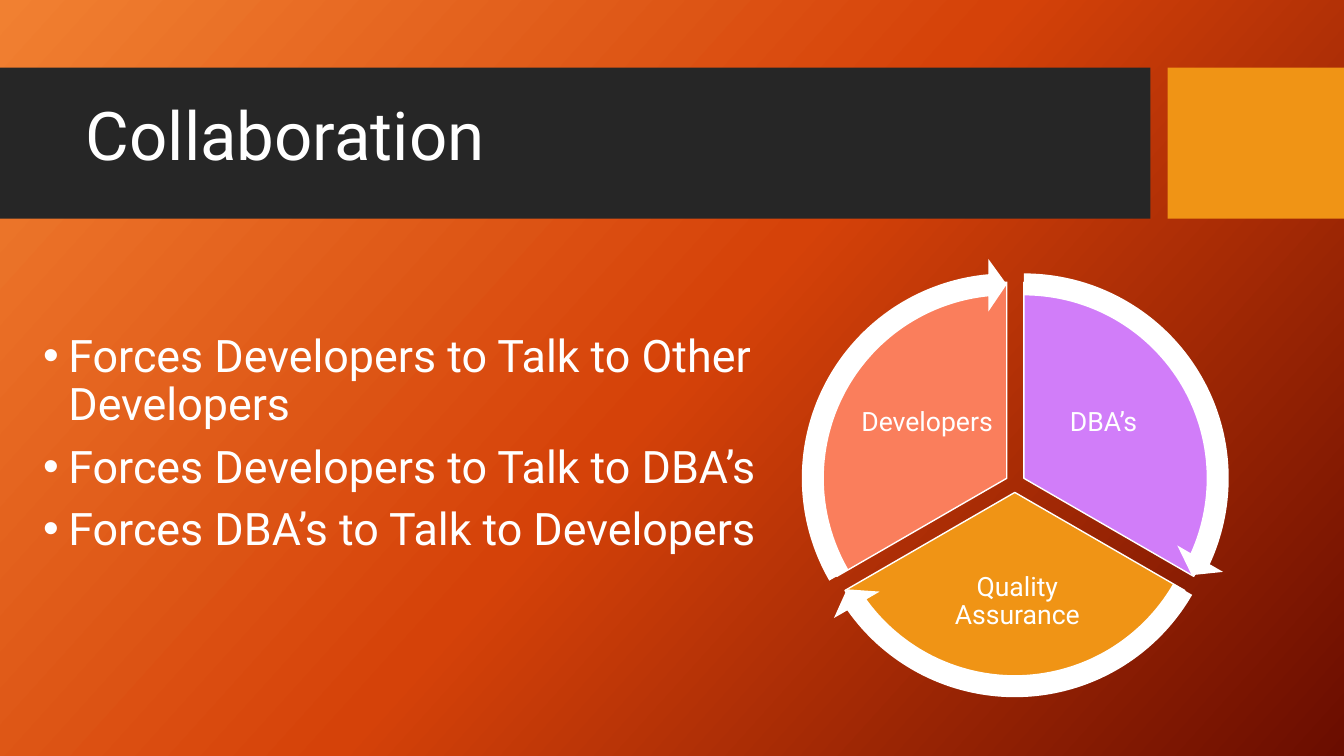
from copy import deepcopy
from dataclasses import dataclass

from lxml import etree
from pptx import Presentation
from pptx.dml.color import RGBColor
from pptx.enum.shapes import MSO_SHAPE as Shape
from pptx.enum.text import MSO_ANCHOR as Anchor, PP_ALIGN as Align
from pptx.oxml.ns import qn
from pptx.util import Inches, Pt


@dataclass(frozen=True)
class Theme:
    font: str = "Roboto"
    white: str = "FFFFFF"
    band: str = "262626"
    orange: str = "F09415"
    violet: str = "D17DF9"
    coral: str = "FA7E5C"
    background: tuple = ("F18031", "D54209", "6A0D00")
    title_size: int = 48
    body_size: int = 32
    label_size: int = 19


THEME = Theme()
PIE_SIZE = 3.89
ARROW_SIZE = 4.37
ARROW_OFFSET = (ARROW_SIZE - PIE_SIZE) / 2

BULLETS = [
    "Forces Developers to Talk to Other Developers",
    "Forces Developers to Talk to DBA’s",
    "Forces DBA’s to Talk to Developers",
]

# label, fill, pie left and top, pie angles, label box, arrow angles
# (angles are in units of 100,000 sixty-thousandths of a degree)
SECTORS = [
    ("DBA’s", THEME.violet, (8.21, 2.8), (162, 18),
     (10.25, 3.62, 1.39, 1.16), (14.72, 161.99)),
    ("Quality Assurance", THEME.orange, (8.12, 2.94), (18, 90),
     (9.05, 5.46, 2.08, 1.02), (86.72, 18.01)),
    ("Developers", THEME.coral, (8.04, 2.8), (90, 162),
     (8.5, 3.62, 1.39, 1.16), (158.73, 90)),
]


def set_background(slide, colors, angle):
    """Fill the slide with evenly spaced gradient stops; angle is clockwise."""
    fill = slide.background.fill
    fill.gradient()
    fill.gradient_angle = 360 - angle
    stop_list = slide.element.find(".//" + qn("a:gsLst"))
    stop_list.insert(1, deepcopy(stop_list[0]))
    for i, (stop, color) in enumerate(zip(fill.gradient_stops, colors)):
        stop.position = i / (len(colors) - 1)
        stop.color.rgb = RGBColor.from_string(color)


def add_bullet(p, indent):
    pPr = p._p.get_or_add_pPr()
    pPr.set("marL", str(Inches(indent)))
    pPr.set("indent", str(-Inches(indent)))
    etree.SubElement(pPr, qn("a:buFont"), typeface="Arial")
    etree.SubElement(pPr, qn("a:buChar"), char="•")


def write_text(sp, lines, size, align=Align.LEFT, anchor=Anchor.TOP,
               inset=None, indent=None, space_before=0):
    """Write one paragraph per line; an indent makes them bulleted."""
    tf = sp.text_frame
    tf.word_wrap = True
    tf.vertical_anchor = anchor
    if inset is not None:
        tf.margin_left = tf.margin_right = Inches(inset)
        tf.margin_top = tf.margin_bottom = Inches(inset)
    for i, line in enumerate(lines):
        p = tf.add_paragraph() if i else tf.paragraphs[0]
        if indent:
            add_bullet(p, indent)
        p.alignment = align
        p.line_spacing = 0.9
        p.space_before = Pt(space_before if i else 0)
        r = p.add_run()
        r.text = line
        r.font.name = THEME.font
        r.font.size = Pt(size)
        r.font.color.rgb = RGBColor.from_string(THEME.white)


def add_shape(shapes, kind, box, fill, line=None, adjustments=()):
    sp = shapes.add_shape(kind, *map(Inches, box))
    sp.shadow.inherit = False
    sp.fill.solid()
    sp.fill.fore_color.rgb = RGBColor.from_string(fill)
    if line:
        sp.line.color.rgb = RGBColor.from_string(line)
        sp.line.width = Pt(1)
    else:
        sp.line.fill.background()
    for i, value in enumerate(adjustments):
        sp.adjustments[i] = value
    return sp


def add_text(shapes, box, lines, size, **style):
    write_text(shapes.add_textbox(*map(Inches, box)), lines, size, **style)


def add_title(slide, text, box):
    title = slide.shapes.title
    title.left, title.top, title.width, title.height = map(Inches, box)
    write_text(title, [text], THEME.title_size, anchor=Anchor.MIDDLE)
    slide.shapes.element.append(title.element)  # bring above the band


def add_cycle(slide):
    shapes = slide.shapes.add_group_shape().shapes
    for label, fill, corner, angles, label_box, _ in SECTORS:
        add_shape(shapes, Shape.PIE, (*corner, PIE_SIZE, PIE_SIZE), fill,
                  line=THEME.white, adjustments=angles)
        add_text(shapes, label_box, [label], THEME.label_size,
                 align=Align.CENTER, anchor=Anchor.MIDDLE, inset=0.03)
    for _, _, (left, top), _, _, (head, tail) in SECTORS:
        box = (left - ARROW_OFFSET, top - ARROW_OFFSET, ARROW_SIZE, ARROW_SIZE)
        add_shape(shapes, Shape.CIRCULAR_ARROW, box, THEME.white,
                  adjustments=(0.05, 3.28, head, tail, 0.06))


def main():
    prs = Presentation()
    prs.slide_width, prs.slide_height = Inches(13.33), Inches(7.5)
    slide = prs.slides.add_slide(prs.slide_layouts.get_by_name("Title Only"))
    set_background(slide, THEME.background, 42)
    add_shape(slide.shapes, Shape.RECTANGLE, (0, 0.67, 11.41, 1.5), THEME.band)
    add_shape(slide.shapes, Shape.RECTANGLE, (11.58, 0.67, 1.75, 1.5), THEME.orange)
    add_title(slide, "Collaboration", (0.75, 0.75, 8.33, 1.25))
    add_text(slide.shapes, (0.33, 3.26, 8.33, 3.11), BULLETS, THEME.body_size,
             indent=0.25, space_before=10)
    add_cycle(slide)
    prs.save("out.pptx")


if __name__ == "__main__":
    main()
